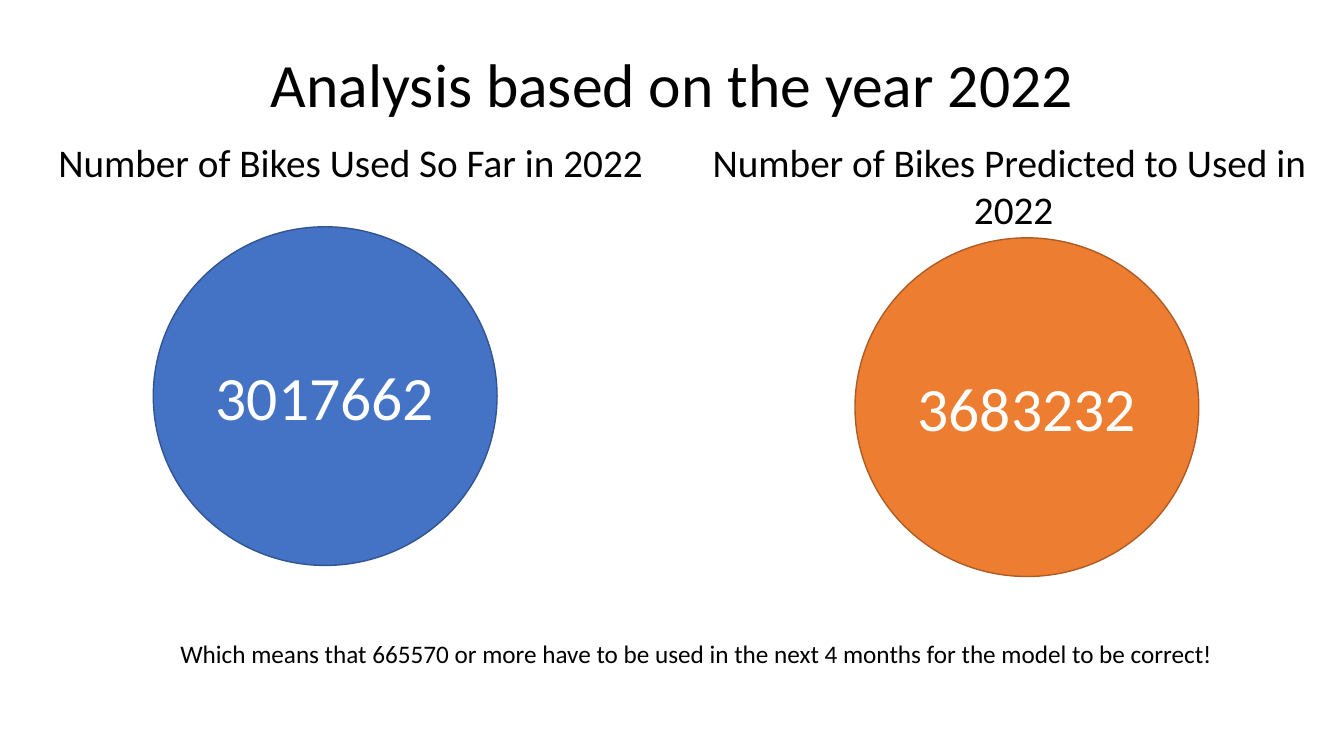
from pptx import Presentation
from pptx.dml.color import RGBColor
from pptx.enum.shapes import MSO_SHAPE
from pptx.enum.text import MSO_ANCHOR, MSO_AUTO_SIZE, PP_ALIGN
from pptx.util import Inches, Pt

BLACK = RGBColor(0x00, 0x00, 0x00)
WHITE = RGBColor(0xFF, 0xFF, 0xFF)
BLUE = RGBColor(0x44, 0x72, 0xC4)
DARK_BLUE = RGBColor(0x32, 0x54, 0x91)
ORANGE = RGBColor(0xED, 0x7D, 0x31)
DARK_ORANGE = RGBColor(0xAF, 0x5C, 0x24)

ELLIPSE = MSO_SHAPE.OVAL
MIDDLE = MSO_ANCHOR.MIDDLE
TOP = MSO_ANCHOR.TOP
GROW = MSO_AUTO_SIZE.SHAPE_TO_FIT_TEXT
FIXED = MSO_AUTO_SIZE.NONE
LEFT = PP_ALIGN.LEFT
CENTER = PP_ALIGN.CENTER

LABEL_TOP = 1.32
CIRCLE_WIDTH, CIRCLE_HEIGHT = 3.41, 3.36


def apply(target, values):
    for name, value in values.items():
        setattr(target, name, value)


class SlideBuilder:
    font_name = "Calibri"

    def __init__(self, slide):
        self.slide = slide

    def fill_text(self, frame, lines, size, color, frame_format, paragraph_format):
        apply(frame, frame_format)
        for index, line in enumerate(lines):
            paragraph = frame.add_paragraph() if index else frame.paragraphs[0]
            apply(paragraph, paragraph_format)
            run = paragraph.add_run()
            run.text = line
            apply(run.font, {"name": self.font_name, "size": Pt(size)})
            run.font.color.rgb = color

    def title(self, text, box):
        holder = self.slide.shapes.add_textbox(*map(Inches, box))
        self.fill_text(holder.text_frame, [text], 44, BLACK,
                       {"word_wrap": True, "auto_size": FIXED, "vertical_anchor": MIDDLE},
                       {"alignment": CENTER, "line_spacing": 0.9})

    def label(self, lines, box, size, alignment=LEFT):
        holder = self.slide.shapes.add_textbox(*map(Inches, box))
        self.fill_text(holder.text_frame, lines, size, BLACK,
                       {"word_wrap": False, "auto_size": GROW, "vertical_anchor": TOP},
                       {"alignment": alignment})

    def circle(self, number, left, top, fill, outline):
        box = (left, top, CIRCLE_WIDTH, CIRCLE_HEIGHT)
        circle = self.slide.shapes.add_shape(ELLIPSE, *map(Inches, box))
        circle.shadow.inherit = False
        circle.fill.solid()
        circle.fill.fore_color.rgb = fill
        circle.line.color.rgb = outline
        circle.line.width = Pt(1)
        self.fill_text(circle.text_frame, [number], 44, WHITE,
                       {"word_wrap": True, "vertical_anchor": MIDDLE},
                       {"alignment": CENTER})


presentation = Presentation()
apply(presentation, {"slide_width": Inches(13.33), "slide_height": Inches(7.5)})
builder = SlideBuilder(presentation.slides.add_slide(presentation.slide_layouts[6]))

builder.title("Analysis based on the year 2022", (0.92, 0.14, 11.5, 1.45))
builder.circle("3017662", 1.52, 2.25, BLUE, DARK_BLUE)
builder.circle("3683232", 8.48, 2.36, ORANGE, DARK_ORANGE)
builder.label(["Number of Bikes Used So Far in 2022"], (0.48, LABEL_TOP, 6.07, 0.57), 28)
builder.label(["Number of Bikes Predicted to Used in", " 2022"],
              (6.93, LABEL_TOP, 6.16, 1.04), 28, CENTER)
builder.label(["Which means that 665570 or more have to be used in the next 4 months "
               "for the model to be correct!"], (1.69, 6.28, 10.49, 0.71), 18)

presentation.save("out.pptx")
